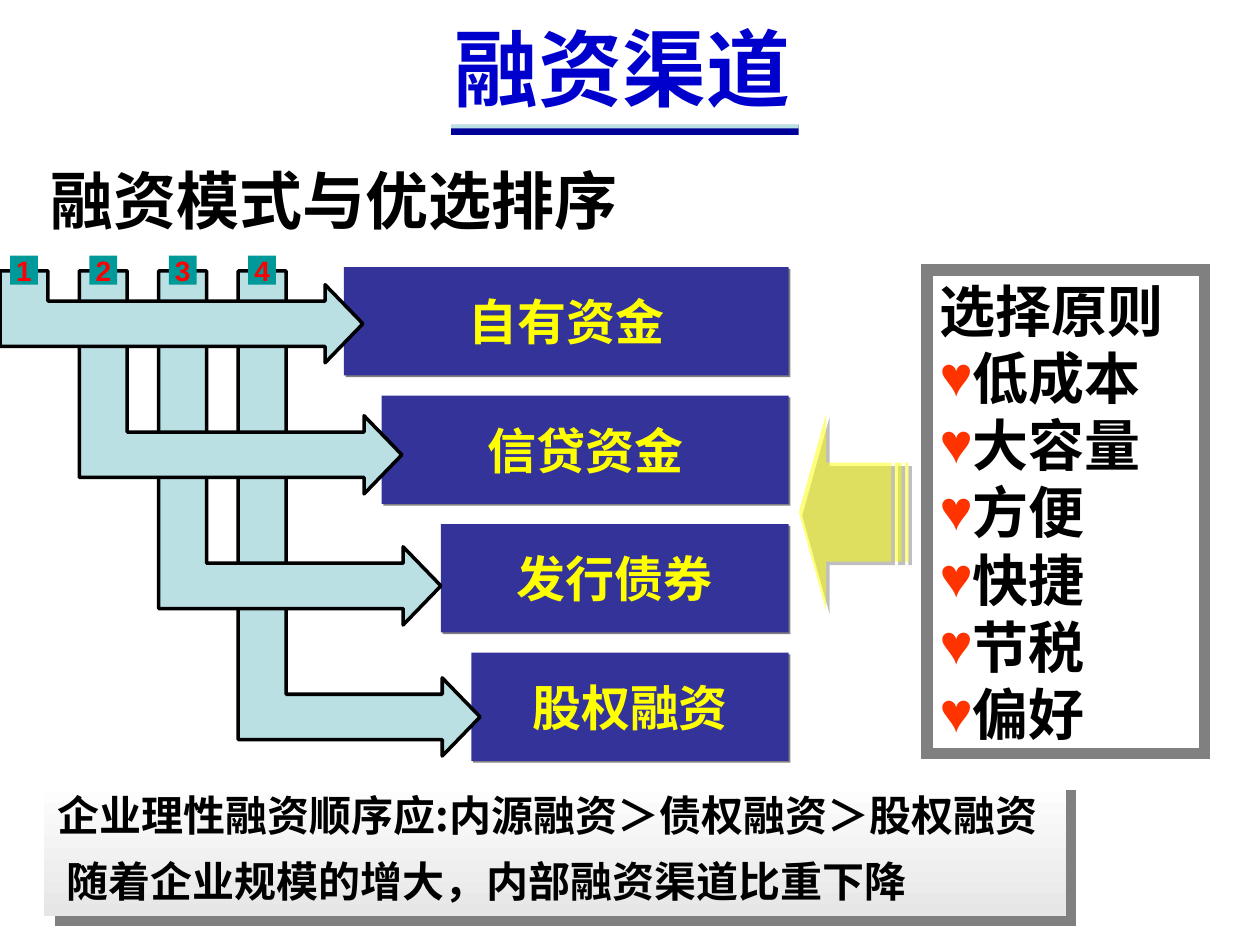
from lxml import etree
from pptx import Presentation
from pptx.dml.color import RGBColor
from pptx.enum.shapes import MSO_SHAPE
from pptx.enum.text import MSO_ANCHOR, PP_ALIGN
from pptx.oxml import parse_xml
from pptx.oxml.ns import qn
from pptx.util import Inches, Pt

RECT, STRIPED = MSO_SHAPE.RECTANGLE, MSO_SHAPE.STRIPED_RIGHT_ARROW
LEFT, MID, CENTER = PP_ALIGN.LEFT, MSO_ANCHOR.MIDDLE, PP_ALIGN.CENTER
NS = 'xmlns:a="http://schemas.openxmlformats.org/drawingml/2006/main"'
CJK = "Noto Sans CJK SC"
HEX = {"navy": "333399", "pale": "BBE0E3", "teal": "009999", "gray": "808080",
       "black": "000000", "white": "FFFFFF", "smoke": "E6E6E6", "blue": "0000CC",
       "rule": "000099", "yellow": "FFFF00", "red": "FF0000", "heart": "FF3300"}
RGB = {name: RGBColor.from_string(code) for name, code in HEX.items()}

deck = Presentation()
deck.slide_width, deck.slide_height = Inches(10), Inches(7.5)
slide = deck.slides.add_slide(deck.slide_layouts[5])
shapes = slide.shapes


def block(x, y, w, h, fill=None, drop=0, kind=RECT):
    """Add a borderless shape, with a gray shadow of drop points."""
    box = shapes.add_shape(kind, Inches(x), Inches(y), Inches(w), Inches(h))
    box.shadow.inherit = False
    box.line.fill.background()
    if fill:
        box.fill.solid()
        box.fill.fore_color.rgb = RGB[fill]
    else:
        box.fill.background()
    if drop:
        box._element.spPr.find(qn("a:effectLst")).append(parse_xml(
            f'<a:outerShdw {NS} dist="{Pt(drop)}" dir="2700000" algn="ctr" '
            f'rotWithShape="0"><a:srgbClr val="{HEX["gray"]}"/></a:outerShdw>'))
    return box


def write(box, lines, size, color, align=CENTER, font="Arial", pad=(0, 0)):
    """Fill a shape with bold lines."""
    frame = box.text_frame
    frame.word_wrap, frame.vertical_anchor = True, MID
    frame.margin_left = frame.margin_right = Inches(pad[0])
    frame.margin_top = frame.margin_bottom = Inches(pad[1])
    frame.text = "\n".join(lines)
    for para in frame.paragraphs:
        para.alignment = align
        para.font.size, para.font.bold = Pt(size), True
        para.font.color.rgb, para.font.name = RGB[color], font
        props = para._p.pPr.find(qn("a:defRPr"))
        etree.SubElement(props, qn("a:ea")).set("typeface", CJK)


# Panel behind the conclusion
panel = block(0.35, 6.19, 8.11, 1.08, "white", 8.5)
panel.fill.gradient()
panel.fill.gradient_angle = 270
for stop, shade in zip(panel.fill.gradient_stops, ("white", "smoke")):
    stop.color.rgb = RGB[shade]

# Funding sources, all ending at the same right edge
EDGE, TALL, ROW = 6.26, 0.86, 1.02
sources = [("自有资金", 2.73), ("信贷资金", 3.03), ("发行债券", 3.5), ("股权融资", 3.74)]
for i, (label, x) in enumerate(sources):
    bar = block(x, 2.12 + i * ROW, EDGE - x, TALL, "navy", 1.4)
    write(bar, [label], 28, "yellow")

# Elbow arrows in hundredths of an inch, the longest at the back
COL, TOP, STEM, HEAD, WING, HALF = 63, 215, 38, 30, 31, 18
for i in reversed(range(4)):
    x, tip, mid = i * COL, 288 + i * 31, 257 + i * 104
    neck = tip - HEAD
    points = [(x, TOP), (x, mid + HALF), (neck, mid + HALF), (neck, mid + WING),
              (tip, mid), (neck, mid - WING), (neck, mid - HALF),
              (x + STEM, mid - HALF), (x + STEM, TOP)]
    path = shapes.build_freeform(*points[0], scale=Inches(0.01))
    path.add_line_segments(points[1:], close=True)
    elbow = path.convert_to_shape()
    elbow.shadow.inherit = False
    elbow.fill.solid()
    elbow.fill.fore_color.rgb = RGB["pale"]
    elbow.line.color.rgb, elbow.line.width = RGB["black"], Pt(2)

# Order numbers on the stems
for i in range(4):
    write(block(0.08 + i * COL / 100, 2.03, 0.22, 0.23, "teal"), [str(i + 1)], 16, "red")

# Heading, with its two-tone rule, and subtitle in the title placeholder
head = shapes.add_textbox(Inches(0.27), 0, Inches(9.34), Inches(1.07))
write(head, ["融资渠道"], 48, "blue", font=CJK, pad=(0.1, 0.05))
block(3.58, 0.99, 2.76, 0.08, "rule")
block(3.58, 0.99, 2.76, 0.03, "pale")
title = shapes.title
title.left, title.top, title.width, title.height = 0, Inches(1.23), Inches(5.31), Inches(0.71)
write(title, ["融资模式与优选排序"], 36, "black")

# Selection principles with heart bullets
rules = block(7.36, 2.14, 2.2, 3.84)
rules.line.color.rgb, rules.line.width = RGB["gray"], Pt(6.75)
rules.line._ln.append(parse_xml(f'<a:miter {NS} lim="800000"/>'))
write(rules, ["选择原则", "低成本", "大容量", "方便", "快捷", "节税", "偏好"],
      32, "black", LEFT, pad=(0.1, 0.05))
for para in rules.text_frame.paragraphs[1:]:
    props = para._p.pPr
    props.set("marL", "0")
    props.set("indent", "0")
    bullet = [f'<a:buClr {NS}><a:srgbClr val="{HEX["heart"]}"/></a:buClr>',
              f'<a:buFont {NS} typeface="Times New Roman"/>',
              f'<a:buChar {NS} char="♥"/>']
    for n, part in enumerate(bullet):
        props.insert(n, parse_xml(part))

# Striped arrow from the principles to the sources
arrow = block(6.34, 3.28, 0.87, 1.57, "yellow", 2.8, STRIPED)
arrow.rotation = 180
arrow.adjustments[0], arrow.adjustments[1] = 0.5, 0.25
tint = arrow._element.spPr.find(qn("a:solidFill"))[0]
etree.SubElement(tint, qn("a:alpha")).set("val", "50000")

# Conclusion
for x, y, w, line in [(0.36, 6.22, 8.18, "企业理性融资顺序应:内源融资＞债权融资＞股权融资"),
                      (0.43, 6.74, 7, "随着企业规模的增大，内部融资渠道比重下降")]:
    note = shapes.add_textbox(Inches(x), Inches(y), Inches(w), Inches(0.5))
    write(note, [line], 24, "black", LEFT, CJK, (0.1, 0.05))

deck.save("out.pptx")
